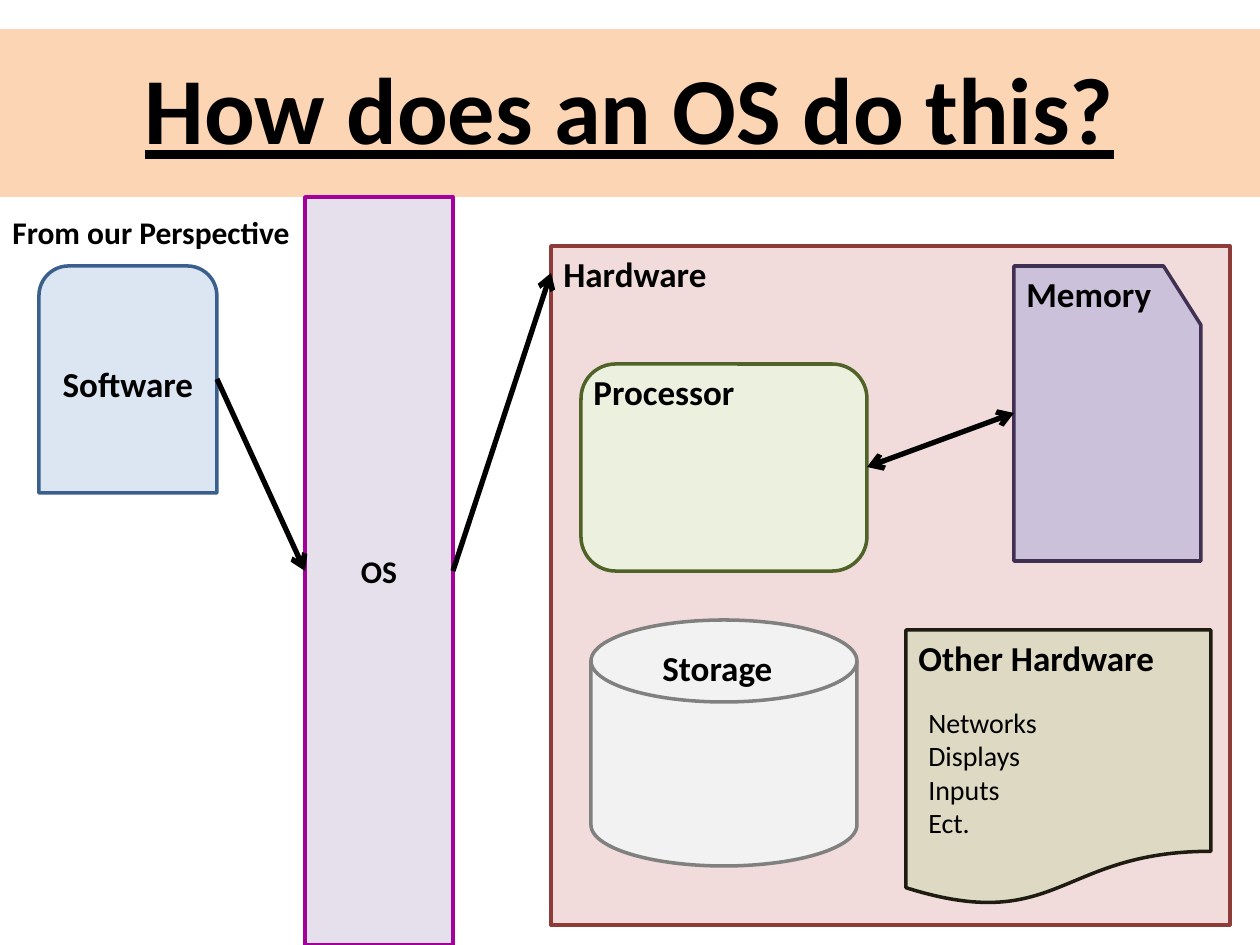
from lxml import etree
from pptx import Presentation
from pptx import util as u
from pptx.dml.color import RGBColor
from pptx.enum import shapes, text
from pptx.oxml.ns import qn

SCALE = 914400 / 126
BLACK = "000000"
KIND = shapes.MSO_SHAPE


def px(length):
    return u.Emu(round(length * SCALE))


def colour(value):
    return RGBColor.from_string(value)


def write(box, words, size, bold=True, centred=False, underline=False):
    frame = box.text_frame
    frame.text = words
    for para in frame.paragraphs:
        para.alignment = text.PP_ALIGN.CENTER if centred else text.PP_ALIGN.LEFT
        for span in para.runs:
            font = span.font
            font.name, font.size, font.bold = "Calibri", u.Pt(size), bold
            font.underline = underline
            font.color.rgb = colour(BLACK)


def add_block(page, kind, place, fill, line=None, words=None, size=20):
    """Add a filled shape, outlined and captioned in its middle if asked."""
    block = page.shapes.add_shape(kind, *map(px, place))
    block.shadow.inherit = False
    block.fill.solid()
    block.fill.fore_color.rgb = colour(fill)
    if line:
        block.line.color.rgb = colour(line)
        block.line.width = u.Pt(2)
    else:
        block.line.fill.background()
    if words:
        block.text_frame.vertical_anchor = text.MSO_ANCHOR.MIDDLE
        write(block, words, size, centred=True)
    return block


def add_label(page, place, words, size=20, bold=True):
    label = page.shapes.add_textbox(*map(px, place))
    label.text_frame.word_wrap = False
    label.text_frame.auto_size = text.MSO_AUTO_SIZE.SHAPE_TO_FIT_TEXT
    write(label, words, size, bold)


def add_title(page, place, words):
    title = page.shapes.add_textbox(*map(px, place))
    title.text_frame.word_wrap = True
    title.text_frame.vertical_anchor = text.MSO_ANCHOR.MIDDLE
    write(title, words, 54, centred=True, underline=True)


def add_arrow(page, start, end, both_ends=False):
    arrow = page.shapes.add_connector(
        shapes.MSO_CONNECTOR.STRAIGHT, *map(px, start + end))
    arrow.line.color.rgb = colour(BLACK)
    arrow.line.width = u.Pt(3)
    outline = arrow.line._get_or_add_ln()
    for tag in ("a:headEnd", "a:tailEnd") if both_ends else ("a:tailEnd",):
        etree.SubElement(outline, qn(tag), type="arrow")
    etree.SubElement(arrow._element.spPr, qn("a:effectLst"))


def add_hardware(page):
    add_block(page, KIND.RECTANGLE, (551, 246, 679, 679), "F2DCDB", "8E3B39")
    add_label(page, (551, 246, 170, 55), "Hardware")

    add_block(page, KIND.ROUNDED_RECTANGLE, (581, 364, 286, 207), "EBF1DE", "4F6228")
    add_label(page, (581, 364, 168, 55), "Processor")

    memory = add_block(page, KIND.FLOWCHART_CARD, (1014, 266, 187, 295),
                       "CCC1DA", "403152")
    memory._element.spPr.find(qn("a:xfrm")).set("flipH", "1")
    add_label(page, (1014, 266, 151, 55), "Memory")

    add_block(page, KIND.FLOWCHART_DOCUMENT, (906, 630, 305, 276), "DDD9C3", "1E1C11")
    add_arrow(page, (867, 467), (1014, 413), both_ends=True)

    add_block(page, KIND.FLOWCHART_MAGNETIC_DISK, (591, 620, 266, 246),
              "F2F2F2", "808080")
    add_label(page, (650, 640, 136, 55), "Storage")

    add_label(page, (906, 630, 263, 55), "Other Hardware")
    add_label(page, (916, 699, 136, 149), "Networks\nDisplays\nInputs\nEct.",
              size=16, bold=False)


def main():
    deck = Presentation()
    deck.slide_width, deck.slide_height = px(1260), px(945)
    page = deck.slides.add_slide(deck.slide_layouts[6])

    add_block(page, KIND.RECTANGLE, (0, 29, 1260, 168), "FCD5B5")
    add_title(page, (88, 48, 1083, 118), "How does an OS do this?")

    add_block(page, KIND.ROUND_2_SAME_RECTANGLE, (39, 266, 178, 227),
              "DCE6F2", "3A5F8C", "Software")
    add_hardware(page)
    add_block(page, KIND.RECTANGLE, (305, 197, 148, 748),
              "E6E0EC", "A4009C", "OS", size=18)
    add_label(page, (0, 207, 305, 50), "From our Perspective", size=18)

    add_arrow(page, (217, 379), (305, 571))
    add_arrow(page, (453, 571), (551, 273))
    deck.save("out.pptx")


if __name__ == "__main__":
    main()
